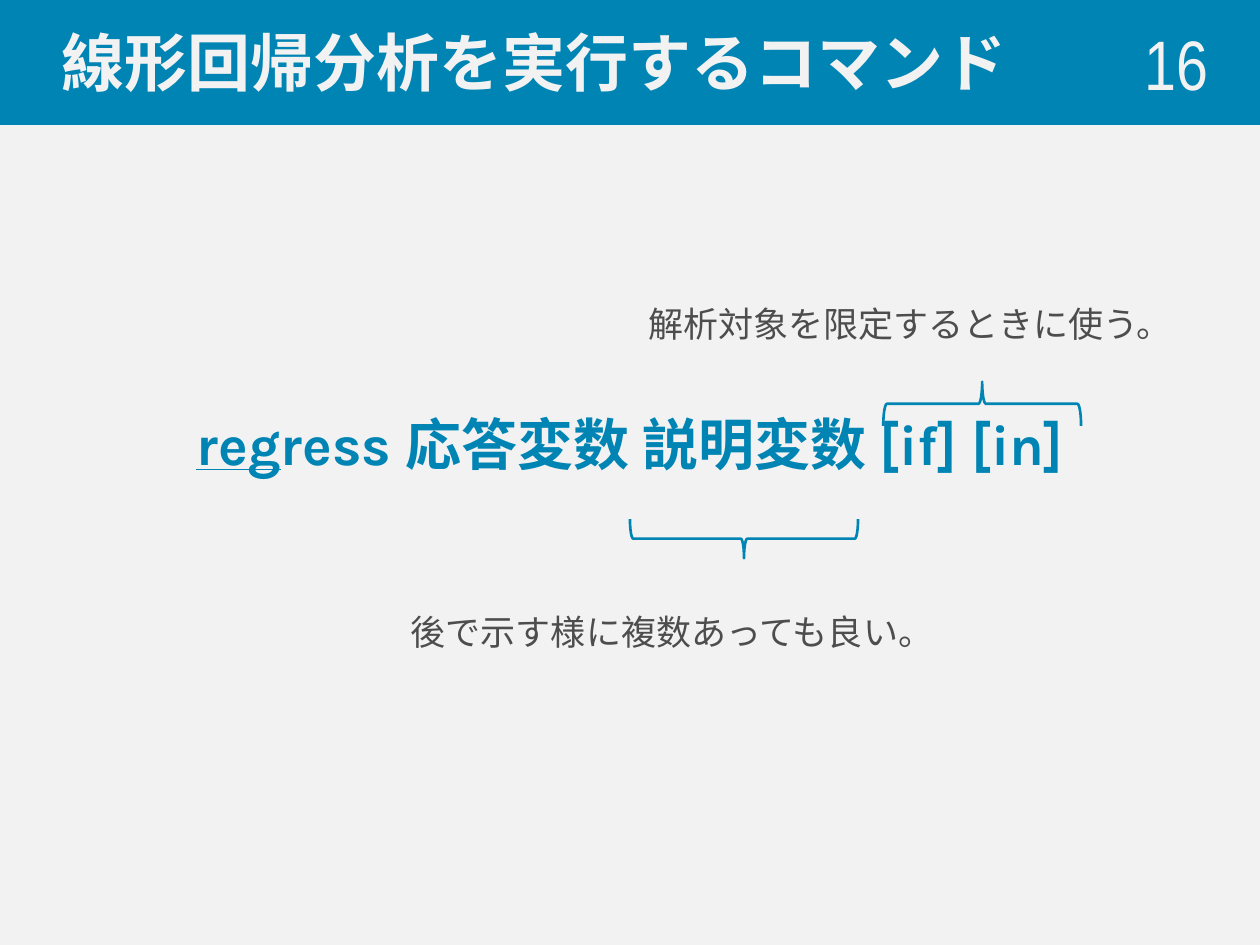
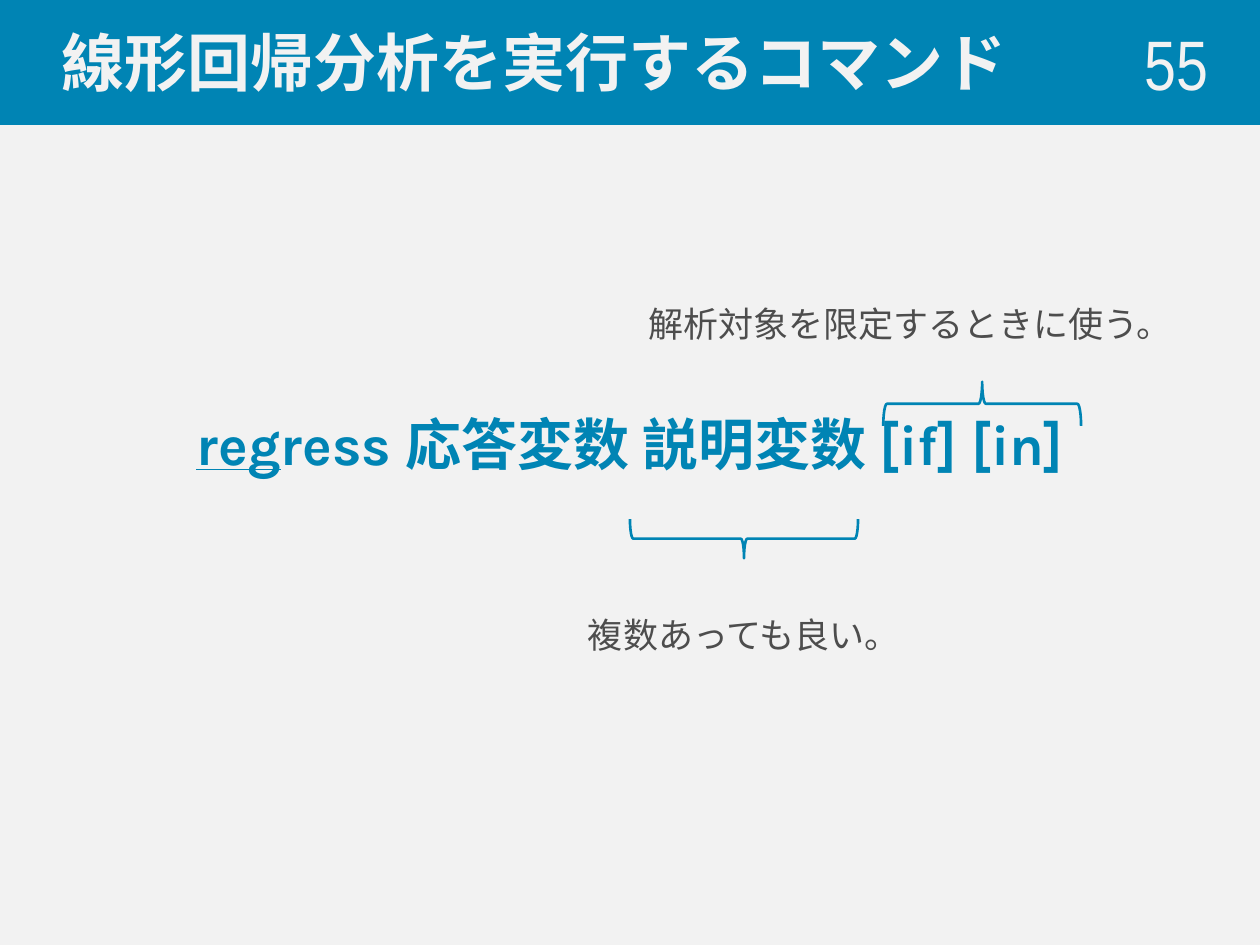
"""Build two slides that explain the linear regression command."""
from dataclasses import dataclass

import pptx
import pptx.dml.color
import pptx.enum.shapes
import pptx.enum.text
import pptx.util

Inches = pptx.util.Inches
Pt = pptx.util.Pt
RGBColor = pptx.dml.color.RGBColor
ALIGN = pptx.enum.text.PP_ALIGN
ANCHOR = pptx.enum.text.MSO_ANCHOR
SHAPE = pptx.enum.shapes.MSO_SHAPE

TITLE = "線形回帰分析を実行するコマンド"
COMMAND = [("reg", True), ("ress 応答変数 説明変数 [if] [in]", False)]
CONDITION_NOTE = ("解析対象を限定するときに使う。", (4.92, 2.35, 4.33, 0.44))
SLIDES = [
    ("16", ("後で示す様に複数あっても良い。", (3.03, 4.8, 4.33, 0.44))),
    ("55", ("複数あっても良い。", (4.45, 4.82, 2.91, 0.44))),
]
BAND_AREA = (0, 0, 10, 0.98)
NUMBER_AREA = (7.76, 0.19, 1.93, 0.61)
COMMAND_AREA = (0.5, 3.12, 9, 0.8)
BRACES = [((5.75, 3.37, 0.31, 1.81), 270), ((7.62, 2.42, 0.35, 1.57), 90)]


@dataclass(frozen=True)
class Theme:
    """Colours, fonts and type sizes."""
    blue: RGBColor = RGBColor(0x00, 0x84, 0xB4)
    pale: RGBColor = RGBColor(0xF2, 0xF2, 0xF2)
    grey: RGBColor = RGBColor(0x4D, 0x4D, 0x4D)
    title_font: str = "Arial"
    number_font: str = "Arial Narrow"
    body_font: str = "Karla"
    title_size: int = 36
    number_size: int = 40
    command_size: int = 32
    note_size: int = 20
    line_width: float = 1.5


THEME = Theme()


def inches(area):
    return [Inches(length) for length in area]


def style(font, name, size, colour, bold=False):
    font.name, font.size, font.bold = name, Pt(size), bold
    font.color.rgb = colour


def add_outlined(slide, kind, area):
    outlined = slide.shapes.add_shape(kind, *inches(area))
    outlined.shadow.inherit = False
    outlined.line.color.rgb = THEME.blue
    outlined.line.width = Pt(THEME.line_width)
    return outlined


def add_text(slide, area, text, align, wrap=True, anchor=ANCHOR.MIDDLE):
    frame = slide.shapes.add_textbox(*inches(area)).text_frame
    frame.word_wrap = wrap
    frame.vertical_anchor = anchor
    frame.text = text
    frame.paragraphs[0].alignment = align
    return frame.paragraphs[0]


def add_band(slide, number):
    band = add_outlined(slide, SHAPE.RECTANGLE, BAND_AREA)
    band.fill.solid()
    band.fill.fore_color.rgb = THEME.blue
    frame = band.text_frame
    frame.margin_left = Inches(0.49)
    frame.vertical_anchor = ANCHOR.MIDDLE
    frame.text = TITLE
    title = frame.paragraphs[0]
    title.alignment = ALIGN.LEFT
    style(title.runs[0].font, THEME.title_font, THEME.title_size, THEME.pale, True)
    page = add_text(slide, NUMBER_AREA, number, ALIGN.RIGHT)
    style(page.runs[0].font, THEME.number_font, THEME.number_size, THEME.pale)


def add_command(slide):
    command = add_text(slide, COMMAND_AREA, "", ALIGN.CENTER)
    for text, underlined in COMMAND:
        part = command.add_run()
        part.text = text
        style(part.font, THEME.body_font, THEME.command_size, THEME.blue, True)
        part.font.underline = underlined


def add_brace_note(slide, brace, note):
    area, rotation = brace
    bracket = add_outlined(slide, SHAPE.LEFT_BRACE, area)
    bracket.fill.background()
    bracket.rotation = rotation
    text, note_area = note
    caption = add_text(slide, note_area, text, ALIGN.CENTER, False, ANCHOR.TOP)
    style(caption.runs[0].font, THEME.body_font, THEME.note_size, THEME.grey)


def main():
    deck = pptx.Presentation()
    deck.slide_width, deck.slide_height = Inches(10), Inches(7.5)
    for number, variable_note in SLIDES:
        slide = deck.slides.add_slide(deck.slide_layouts[6])
        slide.background.fill.solid()
        slide.background.fill.fore_color.rgb = THEME.pale
        add_band(slide, number)
        add_command(slide)
        for brace, note in zip(BRACES, (variable_note, CONDITION_NOTE)):
            add_brace_note(slide, brace, note)
    deck.save("out.pptx")


if __name__ == "__main__":
    main()
